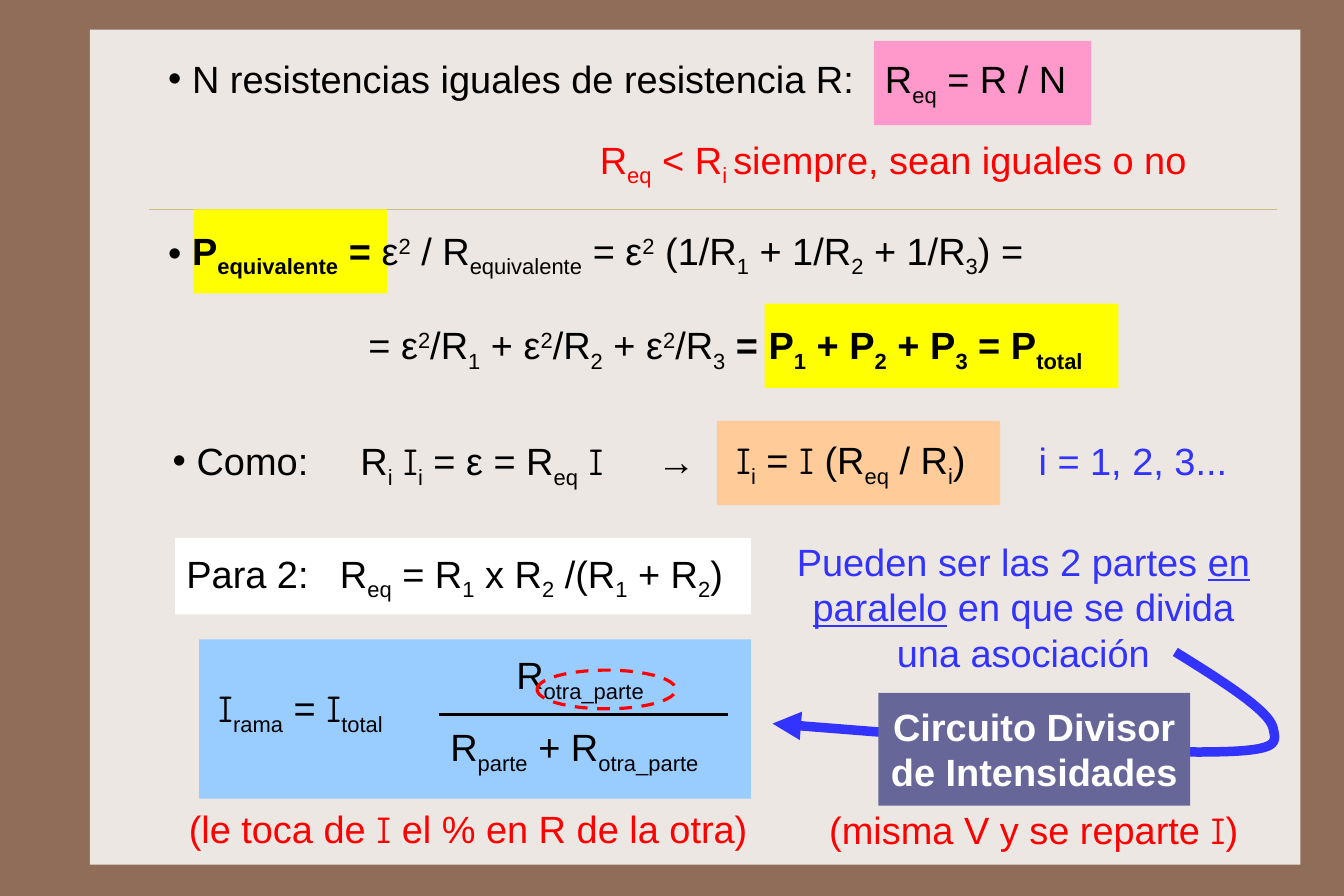
from lxml import etree
from pptx import Presentation
from pptx import util as u
from pptx.dml.color import RGBColor
from pptx.enum import dml, shapes, text
from pptx.oxml import ns

BROWN, PANEL, RULE = "906D58", "EDE7E3", "CBBD83"
BLACK, WHITE, RED, BLUE = "000000", "FFFFFF", "FF0000", "3333FF"
PINK, YELLOW, PEACH, SKY, VIOLET = "FF99CC", "FFFF00", "FFCC99", "99CCFF", "666699"
BULLET_INDENT = 0.21
CENTER = text.PP_ALIGN.CENTER
MARKS = "*_^$~"


def color(value):
    return RGBColor.from_string(value)


def inches(*values):
    return [u.Inches(value) for value in values]


def within(box, left, top, width, height):
    return box[0] + left, box[1] + top, width, height


def add_element(parent, tag, **attributes):
    return etree.SubElement(parent, ns.qn(tag), **attributes)


def add_panel(slide, at, fill, kind=shapes.MSO_SHAPE.RECTANGLE):
    shape = slide.shapes.add_shape(kind, *inches(*at))
    shape.shadow.inherit = False
    shape.line.fill.background()
    if fill:
        shape.fill.solid()
        shape.fill.fore_color.rgb = color(fill)
    else:
        shape.fill.background()
    return shape


def set_line(shape, value, width):
    shape.line.color.rgb = color(value)
    shape.line.width = u.Pt(width)


def add_rule(slide, start, end, value, width):
    connector = slide.shapes.add_connector(
        shapes.MSO_CONNECTOR.STRAIGHT, *inches(*start, *end))
    set_line(connector, value, width)
    add_element(connector._element.spPr, "a:effectLst")


def add_run(paragraph, piece, ink, bold):
    content = piece.lstrip(MARKS)
    marks = piece[:len(piece) - len(content)]
    run = paragraph.add_run()
    run.text = content
    font = run.font
    font.name = "Comic Neue" if "$" in marks else "Arial"
    font.size = u.Pt(24)
    font.color.rgb = color(ink)
    font.bold = bold or "*" in marks
    font.underline = "~" in marks
    if "_" in marks:
        font._element.set("baseline", "-25000")
    elif "^" in marks:
        font._element.set("baseline", "30000")


def add_text(slide, at, markup, ink=BLACK, fill=None, bold=False, align=None,
             spacing=None, bullet=False, tab=None, wrap=True,
             anchor=text.MSO_ANCHOR.TOP, insets=(0.1, 0.09)):
    if fill:
        shape = add_panel(slide, at, fill)
    else:
        shape = slide.shapes.add_textbox(*inches(*at))
    frame = shape.text_frame
    frame.word_wrap = wrap
    frame.vertical_anchor = anchor
    frame.margin_left = frame.margin_right = u.Inches(insets[0])
    frame.margin_top = frame.margin_bottom = u.Inches(insets[1])
    for index, line in enumerate(markup.split("\n")):
        paragraph = frame.paragraphs[0] if index == 0 else frame.add_paragraph()
        paragraph.alignment = align or text.PP_ALIGN.LEFT
        if spacing:
            paragraph.line_spacing = spacing
        properties = paragraph._p.get_or_add_pPr()
        if bullet:
            indent = u.Inches(BULLET_INDENT)
            properties.set("marL", str(indent))
            properties.set("indent", str(-indent))
            add_element(properties, "a:buFont", typeface="Arial")
            add_element(properties, "a:buChar", char="•")
        if tab:
            stops = add_element(properties, "a:tabLst")
            add_element(stops, "a:tab", pos=str(u.Inches(tab)), algn="l")
        for piece in line.split("|"):
            add_run(paragraph, piece, ink, bold)


def bezier(start, first, second, end, steps=16):
    points = []
    for step in range(1, steps + 1):
        t = step / steps
        weights = ((1 - t) ** 3, 3 * t * (1 - t) ** 2, 3 * t * t * (1 - t), t ** 3)
        points.append(tuple(
            sum(weight * value for weight, value in zip(weights, values))
            for values in zip(start, first, second, end)))
    return points


def add_curved_arrow(slide, nodes, value, width):
    nodes = [inches(*node) for node in nodes]
    points = []
    for index in range(0, len(nodes) - 1, 3):
        points += bezier(*nodes[index:index + 4])
    builder = slide.shapes.build_freeform(*nodes[0])
    builder.add_line_segments(points, close=False)
    arrow = builder.convert_to_shape()
    arrow.shadow.inherit = False
    arrow.fill.background()
    set_line(arrow, value, width)
    line = arrow.line._get_or_add_ln()
    add_element(line, "a:round")
    add_element(line, "a:tailEnd", type="triangle")


def draw_frame(slide, box):
    slide.background.fill.solid()
    slide.background.fill.fore_color.rgb = color(BROWN)
    add_panel(slide, box, PANEL)
    left, top = box[0] + 0.52, box[1] + 1.58
    add_rule(slide, (left, top), (left + 9.91, top), RULE, 0.25)


def draw_equal_resistors(slide, box):
    add_text(slide, within(box, 0, 0.04, 6.3, 0.59),
             "N resistencias iguales de resistencia R:", bullet=True)
    add_text(slide, within(box, 6.3, 0, 1.91, 0.74), "R|_eq| = R / N",
             fill=PINK, insets=(0.1, 0.13))
    add_text(slide, within(box, 3.36, 0.9, 6.22, 0.41),
             "R|_eq| < R|_i |siempre, sean iguales o no",
             ink=RED, align=CENTER, spacing=0.5)


def draw_power(slide, box):
    add_panel(slide, within(box, 5.34, 0.83, 3.11, 0.74), YELLOW)
    add_panel(slide, within(box, 0.32, 0, 1.7, 0.74), YELLOW)
    add_text(slide, within(box, 0, 0.07, 8.2, 0.59),
             "*P|*_equivalente|* =| ε|^2| / R|_equivalente| = ε|^2| (1/R|_1"
             "| + 1/R|_2| + 1/R|_3|) =", bullet=True)
    add_text(slide, within(box, 1.76, 0.9, 6.73, 0.59),
             "= ε|^2|/R|_1| + ε|^2|/R|_2| + ε|^2|/R|_3|* = P|*_1|* + P|*_2"
             "|* + P|*_3|* = P|*_total")


def draw_branch_current(slide, box):
    add_text(slide, within(box, 0, 0.06, 1.6, 0.59), "Como:", bullet=True)
    add_text(slide, within(box, 1.65, 0.06, 2.6, 0.59),
             "R|_i| |$I|_i| = ε = R|_eq| |$I")
    add_text(slide, within(box, 4.26, 0.06, 0.6, 0.59), "→")
    add_text(slide, within(box, 4.88, 0, 2.49, 0.74),
             "$I|_i| = |$I| (R|_eq| / R|_i|)", fill=PEACH, insets=(0.17, 0.14))
    add_text(slide, within(box, 7.61, 0.06, 1.95, 0.59), "i = 1, 2, 3...", ink=BLUE)


def draw_two_resistors(slide, box):
    add_text(slide, within(box, 0, 0, 5.06, 0.67),
             "Para 2:\tR|_eq| = R|_1| x R|_2| /(R|_1| + R|_2|)", fill=WHITE,
             tab=1.35, anchor=text.MSO_ANCHOR.MIDDLE, insets=(0.1, 0.05))
    add_panel(slide, within(box, 0.21, 0.89, 4.85, 1.4), SKY)
    add_text(slide, within(box, 0.28, 1.2, 1.96, 0.59), "$I|_rama| = |$I|_total")
    add_text(slide, within(box, 2.32, 1.54, 2.6, 0.59), "R|_parte| + R|_otra_parte")
    add_text(slide, within(box, 2.9, 0.91, 1.47, 0.59), "R|_otra_parte")
    left, top = box[0] + 2.32, box[1] + 1.55
    add_rule(slide, (left, top), (left + 2.54, top), BLACK, 2)
    ring = add_panel(slide, within(box, 3.18, 1.16, 1.22, 0.34), None,
                     shapes.MSO_SHAPE.OVAL)
    set_line(ring, RED, 2)
    ring.line.dash_style = dml.MSO_LINE.DASH
    add_text(slide, within(box, -0.04, 2.3, 5.23, 0.55),
             "(le toca de |$I| el % en R de la otra)",
             ink=RED, align=CENTER, spacing=u.Pt(26))


def draw_current_divider(slide, box):
    curve = [(3.6, 1.09), (4.02, 1.35), (4.43, 1.61), (4.46, 1.76), (4.49, 1.9),
             (4.53, 1.97), (3.8, 1.97), (3.06, 1.96), (1.56, 1.84), (0.06, 1.72)]
    nodes = [(box[0] + x, box[1] + y) for x, y in curve]
    add_curved_arrow(slide, nodes, BLUE, 6)
    add_text(slide, within(box, 0, 0, 4.53, 1.39),
             "Pueden ser las 2 partes |~en paralelo| en que se divida una asociación",
             ink=BLUE, align=CENTER)
    add_text(slide, within(box, 0.99, 1.45, 2.74, 0.99),
             "Circuito Divisor\nde Intensidades", ink=WHITE, fill=VIOLET,
             bold=True, align=CENTER, wrap=False)
    add_text(slide, within(box, 0.28, 2.4, 4.15, 0.55),
             "(misma V y se reparte |$I|)", ink=RED, align=CENTER, spacing=u.Pt(26))


def main():
    presentation = Presentation()
    presentation.slide_height = u.Inches(63) // 8
    presentation.slide_width = presentation.slide_height * 3 // 2
    slide = presentation.slides.add_slide(presentation.slide_layouts[6])
    draw_frame(slide, (0.79, 0.26, 10.64, 7.34))
    draw_equal_resistors(slide, (1.38, 0.36))
    draw_power(slide, (1.38, 1.84))
    draw_branch_current(slide, (1.42, 3.7))
    draw_two_resistors(slide, (1.54, 4.73))
    draw_current_divider(slide, (6.73, 4.64))
    presentation.save("out.pptx")


if __name__ == "__main__":
    main()
